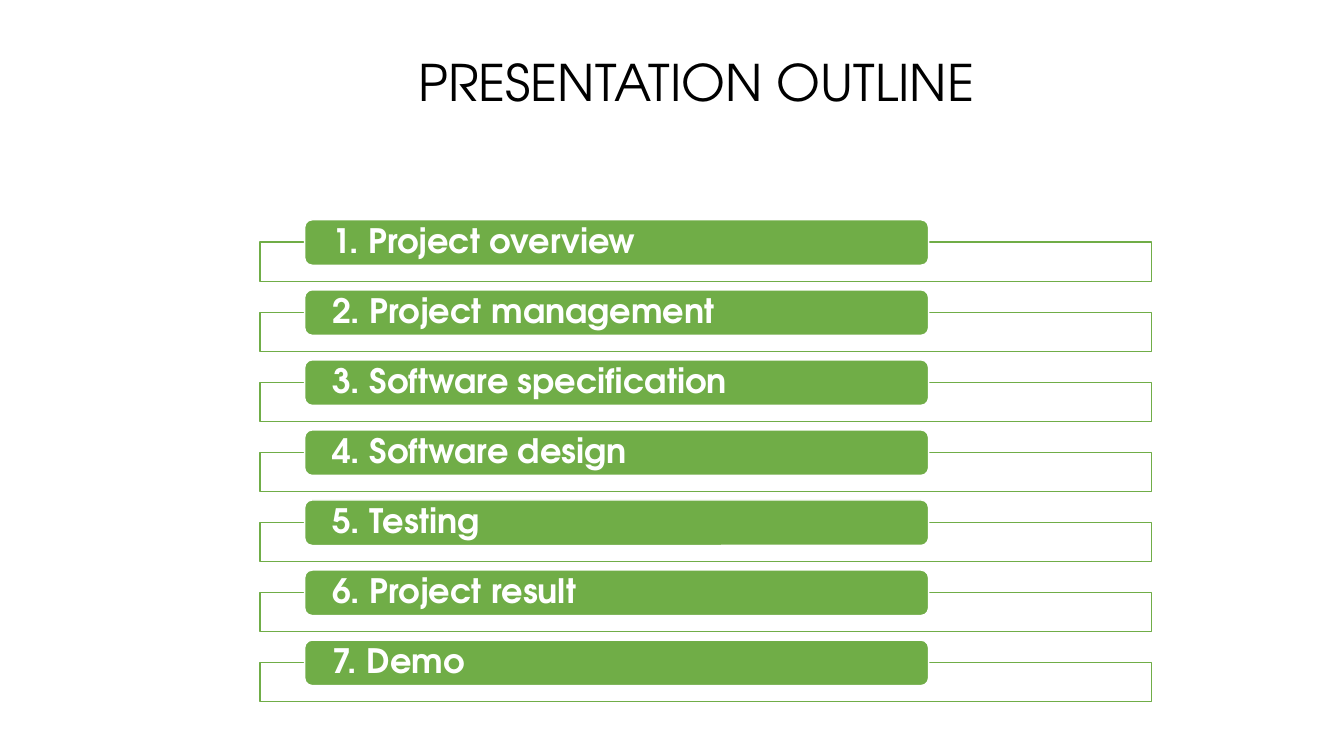
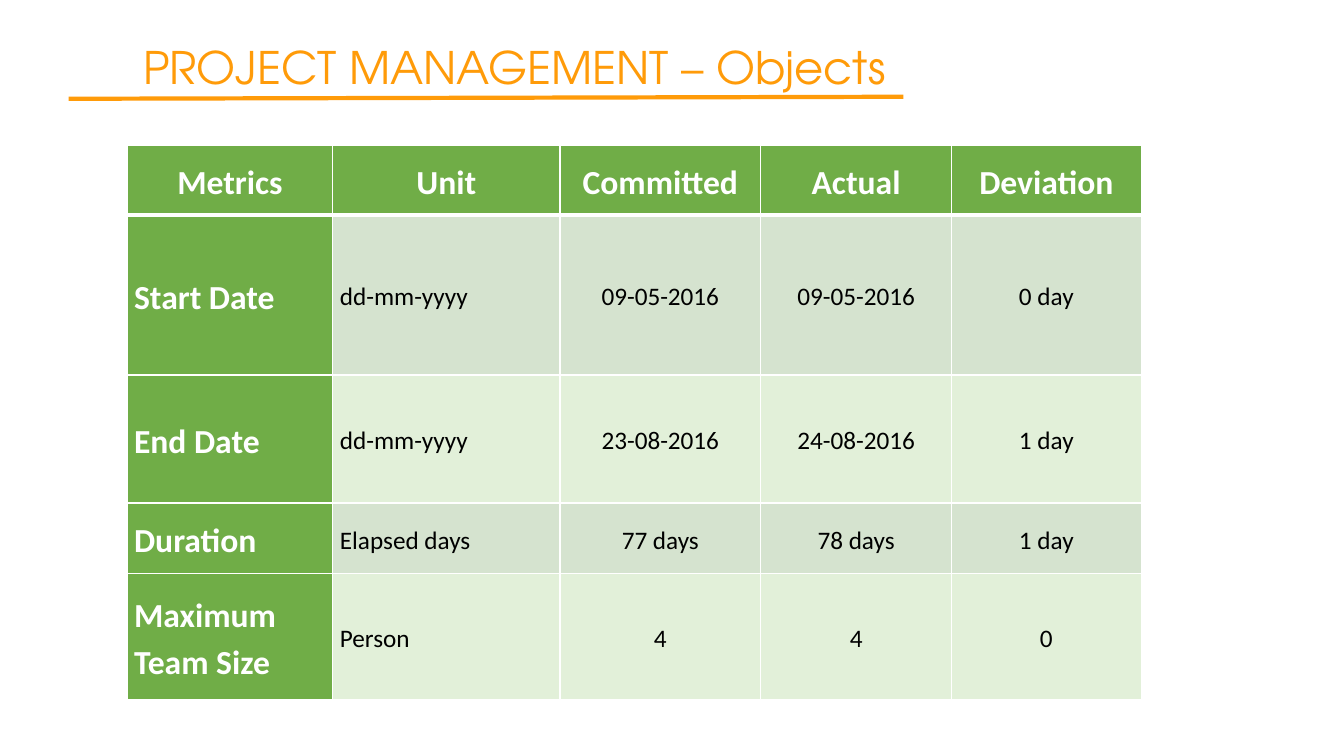
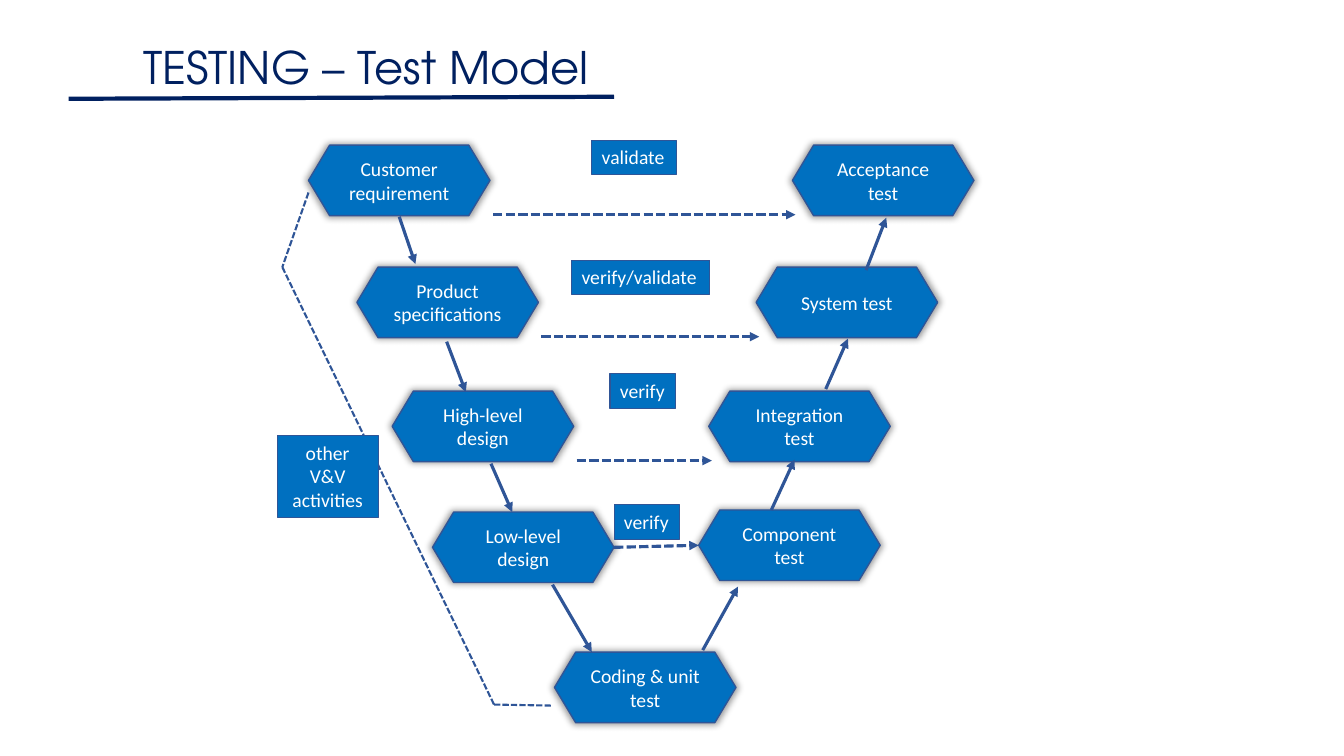
import dataclasses
import itertools

import lxml.etree
import pptx
import pptx.dml.color
import pptx.enum.dml
import pptx.enum.shapes
import pptx.enum.text
import pptx.oxml.ns
import pptx.util

RGB = pptx.dml.color.RGBColor
SHAPE = pptx.enum.shapes.MSO_SHAPE
ALIGN = pptx.enum.text.PP_ALIGN
ANCHOR = pptx.enum.text.MSO_ANCHOR
Pt = pptx.util.Pt
qn = pptx.oxml.ns.qn

BLACK = RGB(0x00, 0x00, 0x00)
WHITE = RGB(0xFF, 0xFF, 0xFF)
GREEN = RGB(0x70, 0xAD, 0x47)
BAND_DARK = RGB(0xD5, 0xE3, 0xCF)
BAND_LIGHT = RGB(0xE2, 0xF0, 0xD9)
ORANGE = RGB(0xFF, 0x9B, 0x09)
NAVY = RGB(0x00, 0x20, 0x60)
BLUE = RGB(0x00, 0x70, 0xC0)
STEEL = RGB(0x2F, 0x55, 0x97)

HEAD_FONT = "TeX Gyre Adventor"
BODY_FONT = "Calibri"
CELL = pptx.util.Inches(0.1)


def grid(n):
    return round(n * CELL)


@dataclasses.dataclass
class Box:
    x: float
    y: float
    w: float
    h: float

    def inner(self, x, y, w, h):
        return Box(self.x + x, self.y + y, w, h)

    def emu(self):
        return [grid(n) for n in (self.x, self.y, self.w, self.h)]


def add_text(tf, text, size, color, font=BODY_FONT, bold=False, align=ALIGN.LEFT):
    p = tf.paragraphs[0]
    p.alignment = align
    r = p.add_run()
    r.text = text
    r.font.size = Pt(size)
    r.font.name = font
    r.font.bold = bold
    r.font.color.rgb = color
    return p


def add_box(s, kind, box, fill, line, width=1):
    sp = s.shapes.add_shape(kind, *box.emu())
    sp.shadow.inherit = False
    sp.fill.solid()
    sp.fill.fore_color.rgb = fill
    sp.line.color.rgb = line
    sp.line.width = Pt(width)
    return sp


def add_line(s, box, start, end, color, width, dashed=False, arrow=False):
    ends = [grid(n) for n in (box.x + start[0], box.y + start[1],
                              box.x + end[0], box.y + end[1])]
    c = s.shapes.add_connector(pptx.enum.shapes.MSO_CONNECTOR.STRAIGHT, *ends)
    c.line.color.rgb = color
    c.line.width = Pt(width)
    if dashed:
        c.line.dash_style = pptx.enum.dml.MSO_LINE.SQUARE_DOT
    if arrow:
        lxml.etree.SubElement(c.get_or_add_ln(), qn("a:tailEnd"), type="triangle")
    lxml.etree.SubElement(c.element.spPr, qn("a:effectLst"))


def add_halo(sp):
    effects = sp.element.spPr.find(qn("a:effectLst"))
    shadow = lxml.etree.SubElement(effects, qn("a:outerShdw"), blurRad="63500",
                                   sx="102000", sy="102000", algn="ctr", rotWithShape="0")
    black = lxml.etree.SubElement(shadow, qn("a:prstClr"), val="black")
    lxml.etree.SubElement(black, qn("a:alpha"), val="40000")


def add_slide(prs, title, box, size, color, align=ALIGN.LEFT):
    s = prs.slides.add_slide(prs.slide_layouts[5])
    sp = s.shapes.title
    sp.left, sp.top, sp.width, sp.height = box.emu()
    tf = sp.text_frame
    tf.word_wrap = False
    tf.auto_size = pptx.enum.text.MSO_AUTO_SIZE.NONE
    tf.vertical_anchor = ANCHOR.TOP
    add_text(tf, title, size, color, HEAD_FONT, align=align)
    return s


def add_ruled_slide(prs, title, width, color):
    box = Box(13.2, 3.4, width, 6.4)
    s = add_slide(prs, title, box, 32, color)
    add_line(s, box, (-6.4, box.h), (box.w, box.h - 0.2), color, 3)
    return s


def outline_list(s, box, topics):
    pitch = box.h / len(topics)
    for i, topic in enumerate(topics):
        y = i * pitch
        add_box(s, SHAPE.RECTANGLE, box.inner(0, y + 0.32 * pitch, box.w, 0.56 * pitch),
                WHITE, GREEN)
        pill = add_box(s, SHAPE.ROUNDED_RECTANGLE,
                       box.inner(0.05 * box.w, y, 0.7 * box.w, 0.65 * pitch), GREEN, WHITE)
        tf = pill.text_frame
        tf.word_wrap = True
        tf.vertical_anchor = ANCHOR.MIDDLE
        tf.margin_left = tf.margin_right = grid(2.5)
        tf.margin_top = tf.margin_bottom = 0
        p = add_text(tf, f"{i + 1}. {topic}", 24, WHITE, HEAD_FONT, bold=True)
        p.line_spacing = 0.9


def add_borders(cell, top, bottom):
    tcPr = cell._tc.get_or_add_tcPr()
    for side, width in (("L", 1), ("R", 1), ("T", top), ("B", bottom)):
        ln = lxml.etree.SubElement(tcPr, qn(f"a:ln{side}"), w=str(Pt(width)))
        fill = lxml.etree.SubElement(ln, qn("a:solidFill"))
        lxml.etree.SubElement(fill, qn("a:srgbClr"), val=str(WHITE))


def metrics_table(s, box, rows, col_shares, row_shares):
    table = s.shapes.add_table(len(rows), len(rows[0]), *box.emu()).table
    table.first_row = table.horz_banding = False
    for col, share in zip(table.columns, col_shares):
        col.width = grid(box.w * share / sum(col_shares))
    for row, share in zip(table.rows, row_shares):
        row.height = grid(box.h * share / sum(row_shares))
    for i, j in itertools.product(range(len(rows)), range(len(rows[0]))):
        cell = table.cell(i, j)
        header = i == 0
        heading = header or j == 0
        add_borders(cell, 3 if i == 1 else 1, 3 if header else 1)
        cell.fill.solid()
        cell.fill.fore_color.rgb = GREEN if heading else (BAND_LIGHT, BAND_DARK)[i % 2]
        cell.vertical_anchor = ANCHOR.MIDDLE
        cell.margin_left = cell.margin_right = grid(0.7)
        cell.margin_top = cell.margin_bottom = 0
        p = add_text(cell.text_frame, rows[i][j], 24 if heading else 18,
                     WHITE if heading else BLACK, bold=heading,
                     align=ALIGN.CENTER if header or j > 1 else ALIGN.LEFT)
        p.line_spacing = 1.15
        p.space_before = p.space_after = Pt(4 if header else 6)


def stage(s, box, text):
    sp = add_box(s, SHAPE.HEXAGON, box, BLUE, STEEL)
    sp.adjustments[0] = 0.3
    add_halo(sp)
    tf = sp.text_frame
    tf.word_wrap = True
    tf.vertical_anchor = ANCHOR.MIDDLE
    add_text(tf, text, 14, WHITE, align=ALIGN.CENTER)


def label(s, box, text, wrap=False):
    sp = add_box(s, SHAPE.RECTANGLE, box, BLUE, STEEL, 0.75)
    tf = sp.text_frame
    tf.word_wrap = wrap
    tf.vertical_anchor = ANCHOR.TOP
    add_text(tf, text, 14, WHITE, align=ALIGN.CENTER if wrap else ALIGN.LEFT)


def v_model(s, box):
    stage_w, stage_h = 18, 7
    design = [(3.1, 0.5, "Customer requirement"), (7.9, 12.6, "Product specifications"),
              (11.4, 24.9, "High-level design"), (15.4, 36.9, "Low-level design")]
    tests = [(51.1, 0.5, "Acceptance test"), (47.5, 12.6, "System test"),
             (42.8, 24.9, "Integration test"), (41.8, 36.7, "Component test")]
    for x, y, text in design + tests + [(27.5, 50.8, "Coding & unit test")]:
        stage(s, box.inner(x, y, stage_w, stage_h), text)

    steps = [((12.1, 7.6), (13.7, 12.3)), ((16.8, 20), (18.7, 25)),
             ((21.2, 32.1), (23.3, 36.9)), ((27.3, 44.1), (31.2, 50.8)),
             ((42.2, 50.6), (45.7, 44.3)), ((49, 36.7), (51.3, 31.7)),
             ((54.4, 24.7), (56.6, 19.7)), ((58.4, 12.9), (60.4, 7.7))]
    for start, end in steps:
        add_line(s, box, start, end, STEEL, 2.25, arrow=True)

    checks = [(31.2, 0, 8.4, "validate"), (29.2, 11.9, 13.7, "verify/validate"),
              (33, 23.2, 6.5, "verify"), (33.4, 36.2, 6.5, "verify")]
    for left, right, (x, y, w, text) in zip(design, tests, checks):
        level = left[1] == right[1]
        gap, drop = (0.3, stage_h - 0.1) if level else (0, stage_h / 2)
        add_line(s, box, (left[0] + stage_w + gap, left[1] + drop),
                 (right[0] + gap, right[1] + drop), STEEL, 2.25, dashed=True, arrow=True)
        label(s, box.inner(x, y, w, 3.4), text)

    bypass = [(3.1, 5.2), (0.5, 12.6), (21.5, 56), (27.3, 56.1)]
    for start, end in zip(bypass, bypass[1:]):
        add_line(s, box, start, end, STEEL, 1.5, dashed=True)
    label(s, box.inner(0, 29.3, 10, 8.1), "other V&V activities", wrap=True)


def main():
    prs = pptx.Presentation()
    prs.slide_width = pptx.util.Inches(13.33)
    prs.slide_height = pptx.util.Inches(7.5)

    s = add_slide(prs, "PRESENTATION OUTLINE", Box(35.9, 4.6, 66.3, 7.1), 36, BLACK,
                  ALIGN.CENTER)
    outline_list(s, Box(25.8, 21.8, 88.4, 48.65),
                 ["Project overview", "Project management", "Software specification",
                  "Software design", "Testing", "Project result", "Demo"])

    s = add_ruled_slide(prs, "PROJECT MANAGEMENT – Objects", 76.4, ORANGE)
    metrics_table(s, Box(12.6, 14.4, 100.6, 55),
                  [["Metrics", "Unit", "Committed", "Actual", "Deviation"],
                   ["Start Date", "dd-mm-yyyy", "09-05-2016", "09-05-2016", "0 day"],
                   ["End Date", "dd-mm-yyyy", "23-08-2016", "24-08-2016", "1 day"],
                   ["Duration", "Elapsed days", "77 days", "78 days", "1 day"],
                   ["Maximum Team Size", "Person", "4", "4", "0"]],
                  [2.04, 2.25, 1.99, 1.89, 1.88], [0.69, 1.59, 1.27, 0.7, 1.25])

    s = add_ruled_slide(prs, "TESTING – Test Model", 47.7, NAVY)
    v_model(s, Box(27.5, 13.9, 69.1, 57.8))

    prs.save("out.pptx")


if __name__ == "__main__":
    main()
